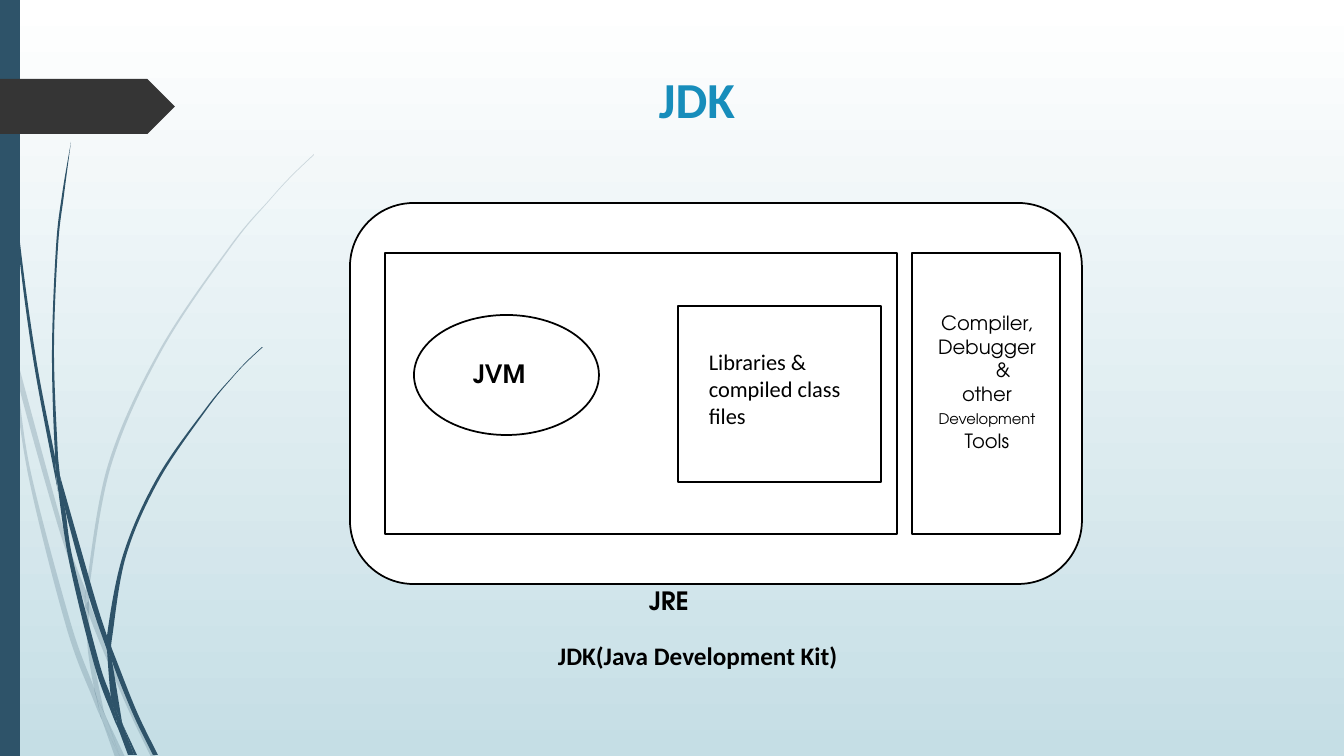
"""Builds the JDK slide: a decorated margin, a title and a nested component diagram."""
from lxml import etree
from pptx import Presentation
from pptx import util as u
from pptx.dml.color import RGBColor
from pptx.enum import shapes, text
from pptx.oxml import ns

PIXEL = 914400 / 100.8
WIDTH, HEIGHT = 1344, 756
NAVY = RGBColor(0x2E, 0x53, 0x69)
CHARCOAL = RGBColor(0x35, 0x35, 0x35)
BLUE = RGBColor(0x17, 0x8D, 0xBB)
PALE = RGBColor(0xC5, 0xDE, 0xE5)
WHITE = RGBColor(0xFF, 0xFF, 0xFF)
BLACK = RGBColor(0, 0, 0)
SANS, GEOMETRIC = "Calibri", "TeX Gyre Adventor"
KIND = shapes.MSO_SHAPE
CENTER = text.PP_ALIGN.CENTER

PALE_BLADES = [
    ([(0, 284), (9, 325), (11, 353)], [(10, 347), (0, 301)]),
    ([(14, 348), (17, 379), (58, 526), (85, 604)], [(86, 591), (62, 524), (14, 348)]),
    ([(89, 601), (89, 615), (124, 700), (151, 757)],
     [(156, 757), (128, 698), (93, 612), (89, 601)]),
    ([(106, 717), (120, 757)], [(125, 757), (106, 717)]),
    ([(11, 353), (28, 474), (66, 626), (93, 699), (102, 720)],
     [(100, 713), (94, 688), (71, 624), (31, 473), (17, 379), (11, 353)]),
    ([(85, 604), (88, 651), (94, 688), (97, 698), (106, 717)],
     [(104, 712), (92, 651), (89, 615), (89, 613), (85, 604)]),
    ([(314, 154), (291, 176), (270, 199), (230, 246), (159, 351), (108, 465), (86, 589),
      (86, 591), (89, 601)],
     [(89, 589), (111, 466), (161, 352), (231, 247), (270, 200), (292, 176), (314, 155)]),
    ([(102, 720), (115, 757)], [(120, 757), (102, 720)]),
    ([(86, 591), (85, 604), (89, 613), (89, 615)], [(89, 601), (86, 591)]),
    ([(94, 688), (100, 713), (102, 720), (120, 757)],
     [(120, 757), (106, 717), (97, 698), (94, 688)]),
]
DARK_BLADES = [
    ([(3, 0), (4, 48), (7, 111), (17, 235), (33, 358), (56, 481), (57, 485)],
     [(55, 461), (55, 457), (36, 358), (19, 234), (8, 110), (5, 48), (4, 0)]),
    ([(60, 476), (65, 509), (89, 597), (107, 650)],
     [(107, 638), (107, 636), (94, 595), (60, 476)]),
    ([(111, 646), (112, 661), (133, 714), (153, 755)],
     [(158, 755), (137, 712), (114, 654), (111, 646)]),
    ([(57, 481), (69, 561), (94, 664), (112, 714), (118, 728)],
     [(117, 723), (111, 697), (99, 662), (73, 560), (65, 509), (57, 481)]),
    ([(71, 142), (62, 195), (56, 247), (52, 352), (55, 453), (60, 476)],
     [(58, 457), (54, 352), (58, 247), (64, 195), (71, 142)]),
    ([(123, 725), (134, 755)], [(137, 755), (123, 725)]),
    ([(55, 453), (55, 457), (57, 481), (65, 509)], [(60, 476), (55, 453)]),
    ([(262, 347), (247, 361), (233, 376), (206, 408), (157, 478), (123, 555), (107, 636),
      (111, 646)],
     [(112, 638), (126, 556), (159, 480), (207, 409), (233, 377), (247, 362), (263, 347)]),
    ([(118, 728), (128, 755)], [(132, 755), (118, 728)]),
    ([(107, 650), (111, 697), (117, 712), (123, 725)],
     [(122, 722), (112, 661), (110, 656), (107, 650)]),
    ([(107, 636), (107, 638), (107, 650), (110, 656), (112, 661)], [(111, 646), (107, 636)]),
    ([(111, 697), (117, 723), (118, 728), (131, 755)],
     [(134, 755), (123, 725), (117, 712), (111, 697)]),
]


def px(pixels):
    """Turn pixels into EMU."""
    return u.Emu(round(pixels * PIXEL))


def assign(target, **values):
    """Set attributes from format values."""
    for name, value in values.items():
        setattr(target, name, value)


def bezier(edge):
    """List the control and end points of a smooth curve along an edge."""
    padded = [edge[0], *edge, edge[-1]]
    points = []
    for a, b, c, d in zip(padded, padded[1:], padded[2:], padded[3:]):
        points.append(tuple(q + (r - p) / 6 for p, q, r in zip(a, b, c)))
        points.append(tuple(r - (s - q) / 6 for q, r, s in zip(b, c, d)))
        points.append(c)
    return points


def paint(shape, color, outline=None):
    """Give a shape a flat fill and an optional outline."""
    shape.shadow.inherit = False
    shape.fill.solid()
    shape.fill.fore_color.rgb = color
    if outline is None:
        shape.line.fill.background()
    else:
        shape.line.color.rgb = outline
        shape.line.width = u.Pt(1.25)


def add_panel(slide, kind, box, color=WHITE, outline=BLACK):
    """Place a preset shape."""
    paint(slide.shapes.add_shape(kind, *map(px, box)), color, outline)


def add_text(slide, box, lines, alignment=None, color=BLACK, **font):
    """Place a text box with one paragraph per list of runs and return its paragraphs."""
    frame = slide.shapes.add_textbox(*map(px, box)).text_frame
    frame.word_wrap = True
    for index, line in enumerate(lines):
        paragraph = frame.paragraphs[0] if index == 0 else frame.add_paragraph()
        paragraph.alignment = alignment
        for words in line:
            run = paragraph.add_run()
            run.text = words
            run.font.color.rgb = color
            assign(run.font, **font)
    return frame.paragraphs


def add_blade(slide, left, top, edges, opacity):
    """Draw one piece of grass between two curved edges."""
    down, back = edges
    joint = bezier([down[-1], back[0]])
    points = [(px(left + x), px(top + y))
              for x, y in [down[0], *bezier(down), *joint, *bezier(back)]]
    builder = slide.shapes.build_freeform(*points[0], scale=1.0)
    builder.add_line_segments(points[1:], close=True)
    blade = builder.convert_to_shape()
    segments = list(blade.element.spPr.iter(ns.qn("a:lnTo")))
    for first, second, third in zip(*[iter(segments)] * 3):
        curve = etree.Element(ns.qn("a:cubicBezTo"))
        first.addprevious(curve)
        for segment in (first, second, third):
            curve.append(segment[0])
            segment.getparent().remove(segment)
    paint(blade, NAVY)
    if opacity < 100:
        color = next(blade.element.spPr.iter(ns.qn("a:srgbClr")))
        etree.SubElement(color, ns.qn("a:alpha"), val=str(opacity * 1000))


def add_margin(slide, left, top, height):
    """Draw the grass, the side bar and the arrow tag."""
    for blades, opacity in ((PALE_BLADES, 20), (DARK_BLADES, 100)):
        for edges in blades:
            add_blade(slide, left, top, edges, opacity)
    add_panel(slide, KIND.RECTANGLE, (left, top, 20, height), NAVY, None)
    add_panel(slide, KIND.PENTAGON, (left, top + 79, 175, 55), CHARCOAL, None)


def add_tools(slide, left, top, width, height):
    """Draw the development tools panel."""
    add_panel(slide, KIND.RECTANGLE, (left, top, width, height))
    lines = [["Compiler,"], ["Debugger"], ["&"], ["other ", "Development", " Tools"]]
    paragraphs = add_text(slide, (left + 14, top + 53, 122, 152), lines, CENTER,
                          name=GEOMETRIC, size=u.Pt(14))
    paragraphs[2]._p.get_or_add_pPr().set("marL", str(px(32)))
    paragraphs[3].runs[1].font.size = u.Pt(10.5)


def add_runtime(slide, left, top, width, height):
    """Draw the runtime panel with the virtual machine and the libraries."""
    add_panel(slide, KIND.RECTANGLE, (left, top, width, height))
    add_panel(slide, KIND.RECTANGLE, (left + 293, top + 53, 203, 176))
    add_text(slide, (left + 314, top + 90, 162, 92), [["Libraries & compiled class files"]],
             name=SANS, size=u.Pt(16))
    add_panel(slide, KIND.OVAL, (left + 29, top + 62, 185, 120))
    add_text(slide, (left + 78, top + 100, 86, 40), [["JVM"]],
             name=GEOMETRIC, size=u.Pt(18), bold=True)


def add_diagram(slide, left, top, width, height):
    """Draw the kit with its two panels and captions."""
    add_panel(slide, KIND.ROUNDED_RECTANGLE, (left, top, width, height))
    add_tools(slide, left + 562, top + 50, 148, 281)
    add_runtime(slide, left + 35, top + 50, 512, 281)
    add_text(slide, (left + 289, top + 377, 78, 40), [["JRE"]],
             name=GEOMETRIC, size=u.Pt(18), bold=True)
    add_text(slide, (left + 198, top + 432, 330, 40), [["JDK(Java Development Kit)"]],
             name=SANS, size=u.Pt(18), bold=True)


def build():
    """Build and save the slide."""
    presentation = Presentation()
    assign(presentation, slide_width=px(WIDTH), slide_height=px(HEIGHT))
    slide = presentation.slides.add_slide(presentation.slide_layouts[6])
    backdrop = slide.background.fill
    backdrop.gradient()
    backdrop.gradient_angle = 270
    for stop, color in zip(backdrop.gradient_stops, (WHITE, PALE)):
        stop.color.rgb = color
    add_margin(slide, 0, 0, HEIGHT)
    add_text(slide, (597, 63, 200, 71), [["JDK"]], CENTER, BLUE,
             name=SANS, size=u.Pt(36), bold=True)
    add_diagram(slide, 350, 203, 732, 381)
    presentation.save("out.pptx")


build()
